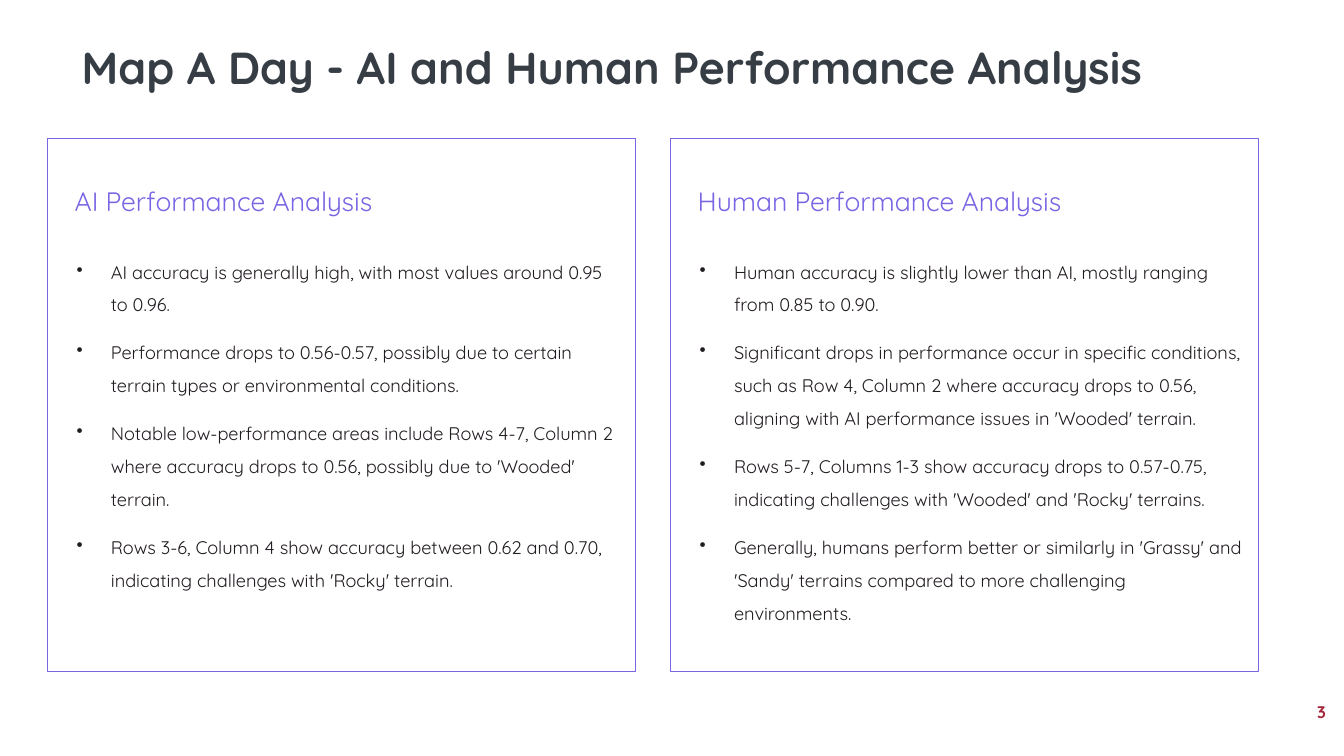
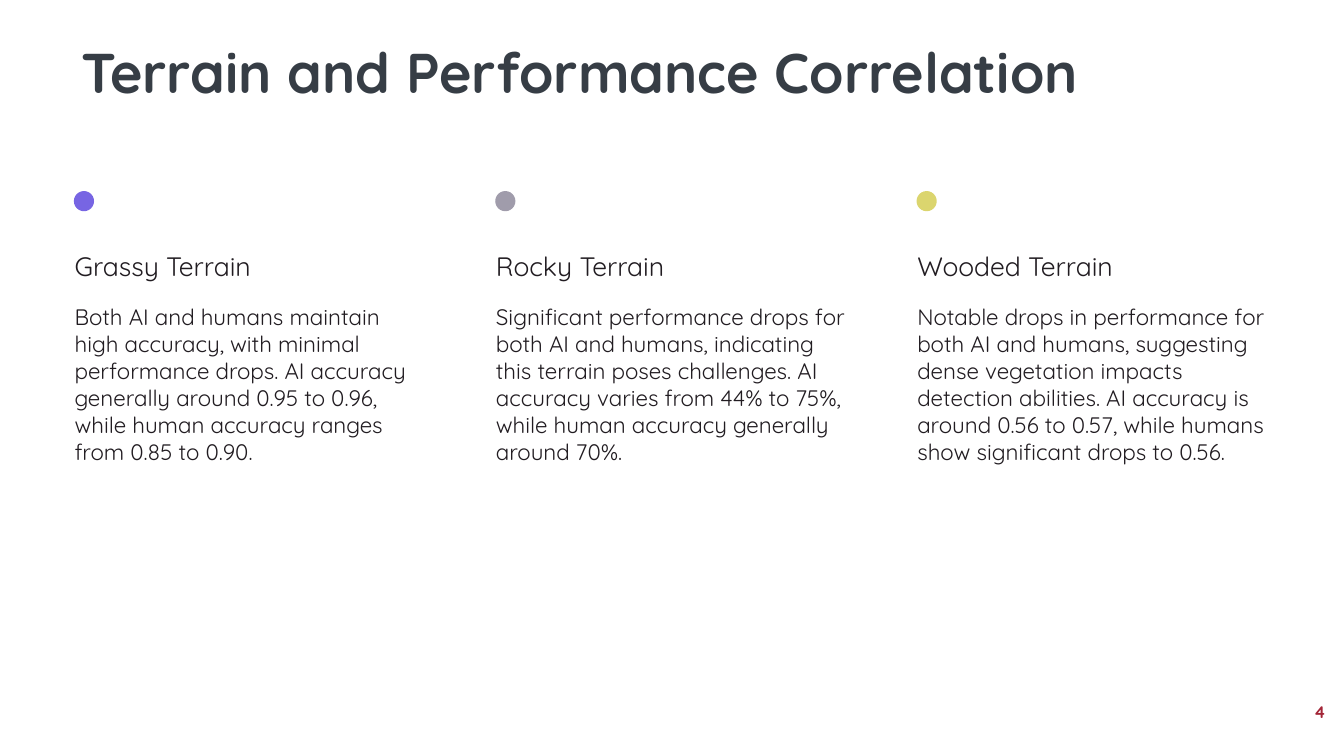
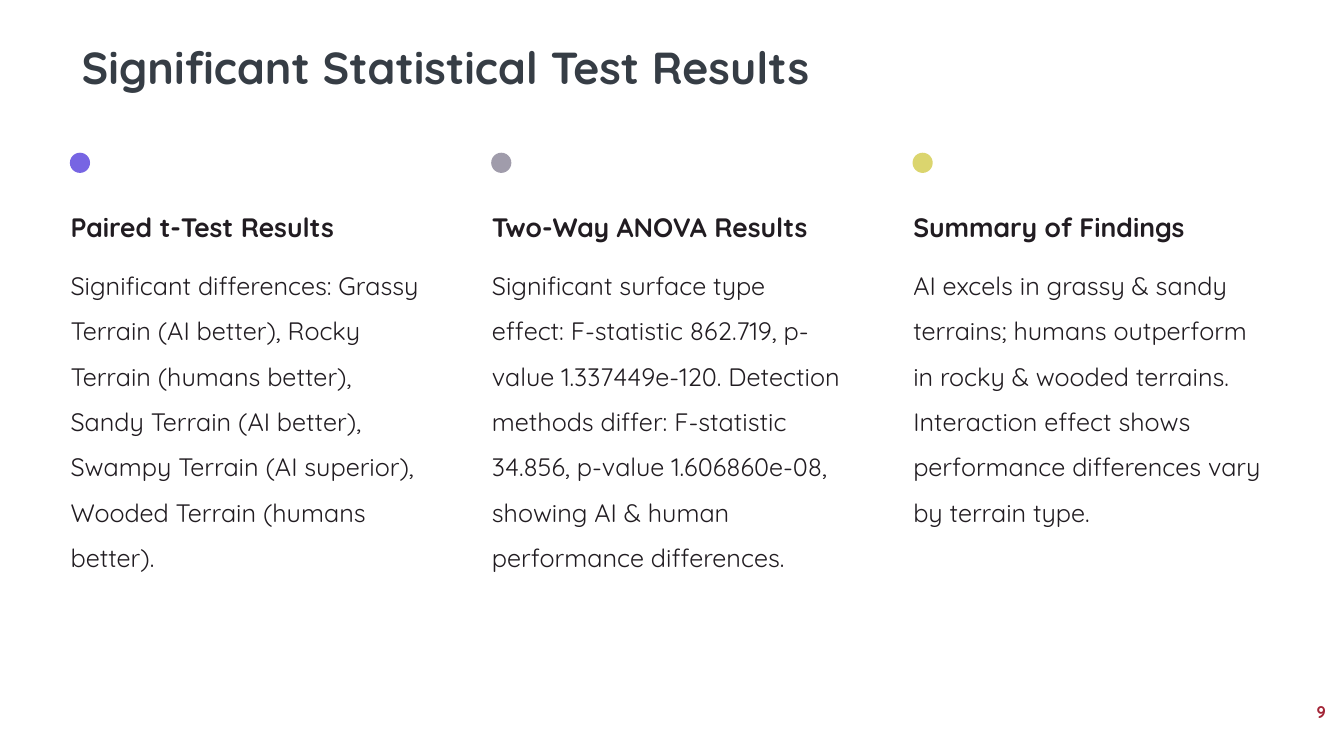
from dataclasses import dataclass

from lxml import etree
from pptx import Presentation, util as u
from pptx.dml.color import RGBColor
from pptx.enum import shapes, text
from pptx.oxml.ns import qn


@dataclass(frozen=True)
class Theme:
    face: str = "Quicksand"
    slate: str = "363D45"
    ink: str = "211C21"
    red: str = "A32537"
    violet: str = "7765E3"
    grey: str = "A09CAB"
    lime: str = "DBD56E"
    white: str = "FFFFFF"
    title: int = 32
    large: int = 40
    head: int = 19
    lead: int = 18
    body: int = 16
    list: int = 13
    page: int = 12


class Deck:
    """Places elements on a grid of 100 columns by 100 rows."""

    def __init__(self, theme):
        self.theme = theme
        self.prs = Presentation()
        self.prs.slide_width = u.Inches(13.33)
        self.prs.slide_height = u.Inches(7.5)
        self.slide = None

    def area(self, x, y, w, h):
        wide, high = self.prs.slide_width, self.prs.slide_height
        return [round(part * full / 100)
                for part, full in ((x, wide), (y, high), (w, wide), (h, high))]

    def font(self, para, size, color, bold=False):
        font = para.font
        font.name, font.size, font.bold = self.theme.face, u.Pt(size), bold
        font.color.rgb = RGBColor.from_string(color)

    def frame(self, shape, pads, anchor):
        """Set the padding (left, top, right, bottom in inches) and anchor."""
        frame = shape.text_frame
        frame.word_wrap = True
        frame.auto_size = text.MSO_AUTO_SIZE.NONE
        frame.vertical_anchor = anchor
        (frame.margin_left, frame.margin_top,
         frame.margin_right, frame.margin_bottom) = map(u.Inches, pads)
        return frame

    def start(self, title, page, size=None):
        """Add a slide with its title and page number."""
        self.slide = self.prs.slides.add_slide(self.prs.slide_layouts[5])
        shape = self.slide.shapes.title
        shape.left, shape.top, shape.width, shape.height = self.area(
            5.33, 5.33, 87.85, 10.67)
        pads = (0.1, 0.05, 0.1, 0.05)
        frame = self.frame(shape, pads, text.MSO_ANCHOR.TOP)
        frame.text = title
        para = frame.paragraphs[0]
        para.alignment = text.PP_ALIGN.LEFT
        para.line_spacing = 0.9
        self.font(para, size or self.theme.title, self.theme.slate, True)
        para = self.label((76.89, 91.47, 22.5, 5.33), str(page),
                          self.theme.page, self.theme.red, True, pads)
        para.alignment = text.PP_ALIGN.RIGHT

    def label(self, box, words, size, color, bold=False, pads=(0.13,) * 4,
              anchor=text.MSO_ANCHOR.MIDDLE):
        shape = self.slide.shapes.add_textbox(*self.area(*box))
        frame = self.frame(shape, pads, anchor)
        frame.text = words
        para = frame.paragraphs[0]
        self.font(para, size, color, bold)
        return para

    def shape(self, kind, box, fill, line=None):
        shape = self.slide.shapes.add_shape(kind, *self.area(*box))
        shape.shadow.inherit = False
        shape.fill.solid()
        shape.fill.fore_color.rgb = RGBColor.from_string(fill)
        if line:
            shape.line.color.rgb = RGBColor.from_string(line)
            shape.line.width = u.Pt(0.75)
        else:
            shape.line.fill.background()

    def bullet(self, para):
        props = para._p.get_or_add_pPr()
        props.set("marL", str(u.Inches(0.5)))
        props.set("indent", str(u.Inches(-0.34)))
        tint = etree.SubElement(props, qn("a:buClr"))
        etree.SubElement(tint, qn("a:srgbClr"), val=self.theme.ink)
        etree.SubElement(props, qn("a:buChar"), char="•")

    def bullets(self, box, items):
        shape = self.slide.shapes.add_textbox(*self.area(*box))
        frame = self.frame(shape, (0.13,) * 4, text.MSO_ANCHOR.TOP)
        frame.text = "\n".join(items)
        for rank, para in enumerate(frame.paragraphs):
            self.bullet(para)
            para.line_spacing = 1.5
            para.space_before = u.Pt(11 if rank else 0)
            self.font(para, self.theme.list, self.theme.ink)

    def cards(self, cards):
        """Draw framed cards side by side, each a heading over bullets."""
        top, wide, high = 18.27, 43.74, 70.53
        for col, (head, items) in enumerate(cards):
            x = 3.53 + col * 46.36
            self.shape(shapes.MSO_SHAPE.RECTANGLE, (x, top, wide, high),
                       self.theme.white, self.theme.violet)
            self.bullets((x, top + 13.06, wide, high - 13.06), items)
            para = self.label((x, top, wide, 12.13), head, self.theme.head,
                              self.theme.violet, pads=(0.27, 0.13, 0.2, 0.13),
                              anchor=text.MSO_ANCHOR.BOTTOM)
            para.space_after = u.Pt(16)

    def trio(self, left, top, drop, parts, size, bold=False, space=None):
        """Draw three dotted columns; drop is the step from heading to body."""
        tints = (self.theme.violet, self.theme.grey, self.theme.lime)
        for col, ((head, body), tint) in enumerate(zip(parts, tints)):
            x, wide = left + col * 31.35, 28.13
            self.shape(shapes.MSO_SHAPE.OVAL,
                       (x + 0.92, top - 4.33, 1.5, 2.67), tint)
            self.label((x, top, wide, 11.07), head, self.theme.head,
                       self.theme.ink, bold)
            para = self.label((x, top + drop, wide, 48.67), body, size,
                              self.theme.ink, anchor=text.MSO_ANCHOR.TOP)
            if space:
                para.line_spacing = space


CARDS = [
    ("AI Performance Analysis", [
        "AI accuracy is generally high, with most values around 0.95 to 0.96.",
        "Performance drops to 0.56-0.57, possibly due to certain terrain types "
        "or environmental conditions.",
        "Notable low-performance areas include Rows 4-7, Column 2 where "
        "accuracy drops to 0.56, possibly due to 'Wooded' terrain.",
        "Rows 3-6, Column 4 show accuracy between 0.62 and 0.70, indicating "
        "challenges with 'Rocky' terrain.",
    ]),
    ("Human Performance Analysis", [
        "Human accuracy is slightly lower than AI, mostly ranging from 0.85 "
        "to 0.90.",
        "Significant drops in performance occur in specific conditions, such "
        "as Row 4, Column 2 where accuracy drops to 0.56, aligning with AI "
        "performance issues in 'Wooded' terrain.",
        "Rows 5-7, Columns 1-3 show accuracy drops to 0.57-0.75, indicating "
        "challenges with 'Wooded' and 'Rocky' terrains.",
        "Generally, humans perform better or similarly in 'Grassy' and "
        "'Sandy' terrains compared to more challenging environments.",
    ]),
]

TERRAINS = [
    ("Grassy Terrain",
     "Both AI and humans maintain high accuracy, with minimal performance "
     "drops. AI accuracy generally around 0.95 to 0.96, while human accuracy "
     "ranges from 0.85 to 0.90."),
    ("Rocky Terrain",
     "Significant performance drops for both AI and humans, indicating this "
     "terrain poses challenges. AI accuracy varies from 44% to 75%, while "
     "human accuracy generally around 70%."),
    ("Wooded Terrain",
     "Notable drops in performance for both AI and humans, suggesting dense "
     "vegetation impacts detection abilities. AI accuracy is around 0.56 to "
     "0.57, while humans show significant drops to 0.56."),
]

TESTS = [
    ("Paired t-Test Results",
     "Significant differences: Grassy Terrain (AI better), Rocky Terrain "
     "(humans better), Sandy Terrain (AI better), Swampy Terrain (AI "
     "superior), Wooded Terrain (humans better)."),
    ("Two-Way ANOVA Results",
     "Significant surface type effect: F-statistic 862.719, p-value "
     "1.337449e-120. Detection methods differ: F-statistic 34.856, p-value "
     "1.606860e-08, showing AI & human performance differences."),
    ("Summary of Findings",
     "AI excels in grassy & sandy terrains; humans outperform in rocky & "
     "wooded terrains. Interaction effect shows performance differences vary "
     "by terrain type."),
]


def main():
    theme = Theme()
    deck = Deck(theme)
    deck.start("Map A Day - AI and Human Performance Analysis", 3)
    deck.cards(CARDS)
    deck.start("Terrain and Performance Correlation", 4, theme.large)
    deck.trio(4.58, 29.6, 8.8, TERRAINS, theme.body)
    deck.start("Significant Statistical Test Results", 9)
    deck.trio(4.28, 24.53, 7.47, TESTS, theme.lead, bold=True, space=1.5)
    deck.prs.save("out.pptx")


if __name__ == "__main__":
    main()
